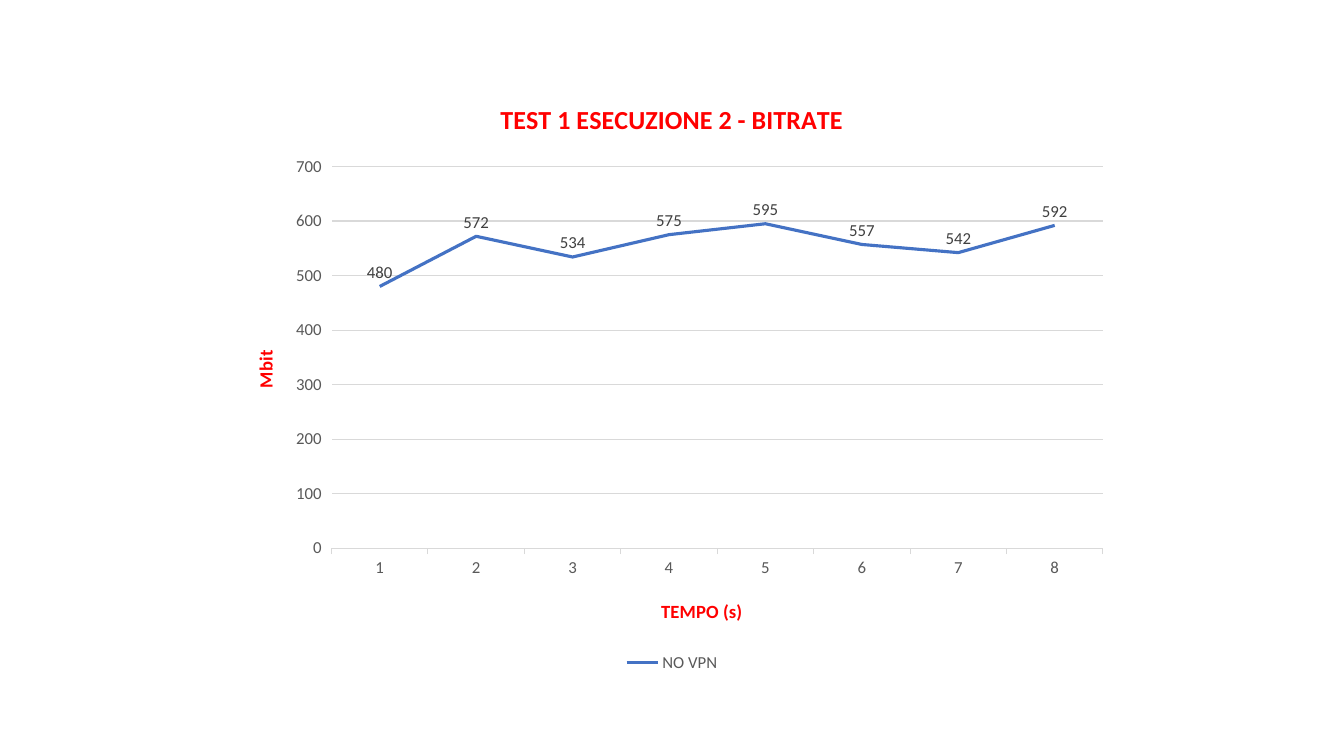
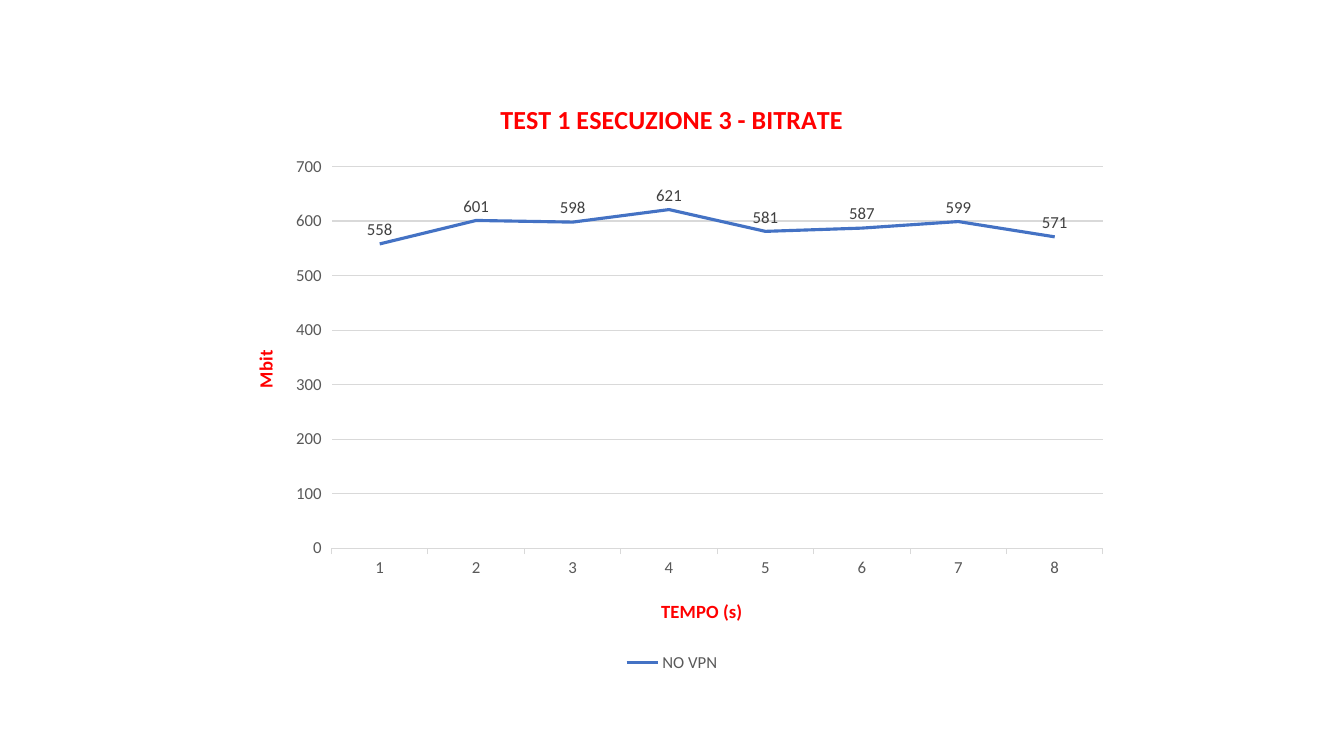
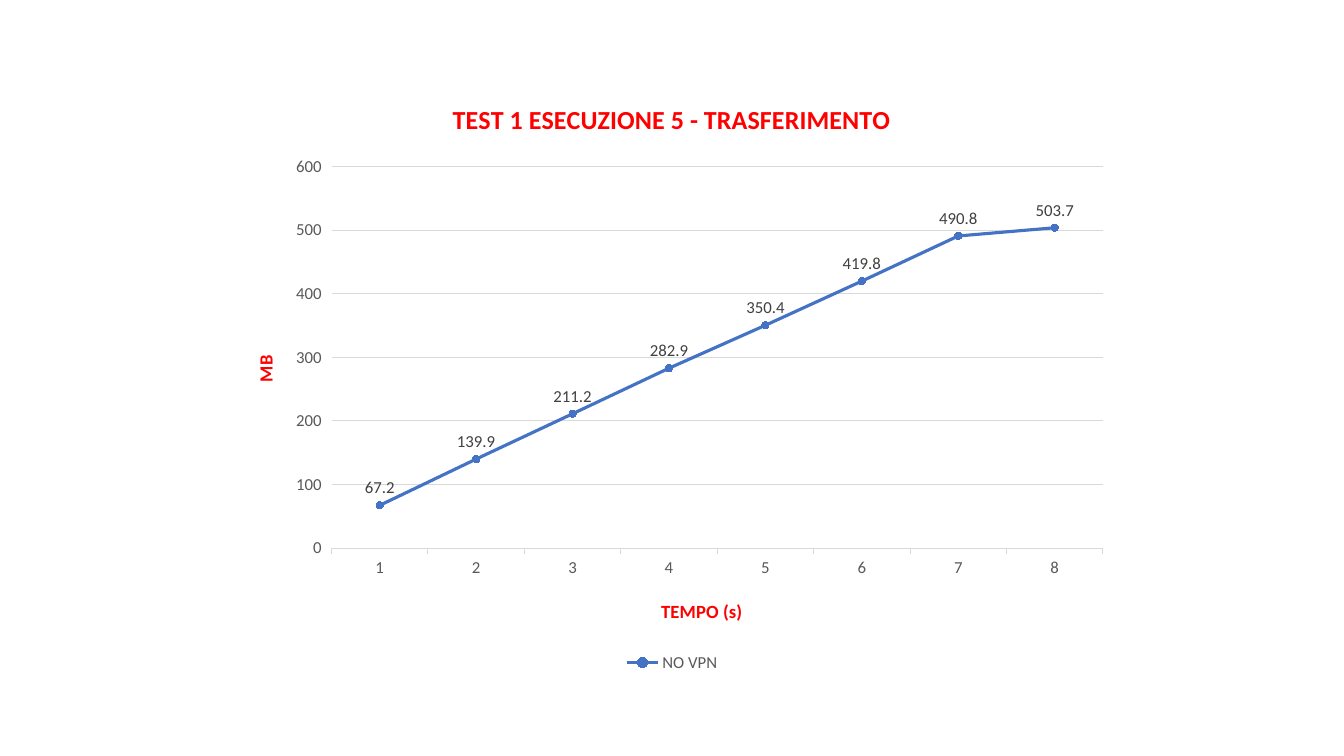
from dataclasses import dataclass

from lxml.etree import SubElement
from pptx import Presentation
from pptx.chart.data import CategoryChartData
from pptx.dml.color import RGBColor
from pptx.enum.chart import (XL_CHART_TYPE, XL_LABEL_POSITION, XL_LEGEND_POSITION,
                             XL_MARKER_STYLE, XL_TICK_MARK)
from pptx.oxml.ns import qn
from pptx.util import Inches, Pt

# Shared look
SLIDE_WIDTH, SLIDE_HEIGHT = Inches(13.33), Inches(7.5)
FONT = "Calibri"
RED, BLUE = "FF0000", "4472C4"
GRID_GREY, TEXT_GREY, LABEL_GREY = "D9D9D9", "595959", "404040"
TITLE_SIZE, AXIS_TITLE_SIZE, TEXT_SIZE = 18.6, 13.3, 12

# Chart frame: centred, two thirds of the slide wide
CHART_WIDTH, CHART_HEIGHT = int(SLIDE_WIDTH * 2 / 3), int(SLIDE_HEIGHT * 0.79)
CHART_LEFT = (SLIDE_WIDTH - CHART_WIDTH) // 2
CHART_TOP = (SLIDE_HEIGHT - CHART_HEIGHT) // 2

# Places inside the chart, as shares of its size
PLOT_AREA = {"x": 0.12, "y": 0.146, "w": 0.861, "h": 0.639}
TIME_TITLE_PLACE = {"x": 0.484, "y": 0.864}
VALUE_TITLE_LEFT = 0.028


@dataclass(frozen=True)
class Measurement:
    title: str
    unit: str
    unit_top: float
    values: tuple[float, ...]
    markers: bool = False


MEASUREMENTS = (
    Measurement("TEST 1 ESECUZIONE 2 - BITRATE", "Mbit", 0.448,
                (480, 572, 534, 575, 595, 557, 542, 592)),
    Measurement("TEST 1 ESECUZIONE 3 - BITRATE", "Mbit", 0.448,
                (558, 601, 598, 621, 581, 587, 599, 571)),
    Measurement("TEST 1 ESECUZIONE 5 - TRASFERIMENTO", "MB", 0.456,
                (67.2, 139.9, 211.2, 282.9, 350.4, 419.8, 490.8, 503.7), markers=True),
)


def color(value: str) -> RGBColor:
    return RGBColor.from_string(value)


def style_font(font, size: float, hex_color: str, bold: bool = False) -> None:
    font.name = FONT
    font.size = Pt(size)
    font.bold = bold
    font.color.rgb = color(hex_color)


def style_line(line, hex_color: str, width: float) -> None:
    line.color.rgb = color(hex_color)
    line.width = Pt(width)


def place(element, shares: dict[str, float], index: int) -> None:
    """Give a chart part a fixed place, in shares of the chart."""
    for old_layout in element.findall(qn("c:layout")):
        element.remove(old_layout)
    layout = SubElement(element, qn("c:layout"))
    element.insert(index, layout)
    manual = SubElement(layout, qn("c:manualLayout"))
    if "w" in shares:
        SubElement(manual, qn("c:layoutTarget")).set("val", "inner")
    for name in ("x", "y"):
        SubElement(manual, qn(f"c:{name}Mode")).set("val", "edge")
    for name, share in shares.items():
        SubElement(manual, qn(f"c:{name}")).set("val", str(share))


def add_title(owner, text: str, size: float):
    """Put a bold red title on a chart or an axis."""
    owner.has_title = True
    title = owner.chart_title if hasattr(owner, "chart_title") else owner.axis_title
    run = title.text_frame.paragraphs[0].add_run()
    run.text = text
    style_font(run.font, size, RED, bold=True)
    return title


def style_axes(chart, measurement: Measurement) -> None:
    time_axis, value_axis = chart.category_axis, chart.value_axis
    for axis, text, shares in (
        (time_axis, "TEMPO (s)", TIME_TITLE_PLACE),
        (value_axis, measurement.unit, {"x": VALUE_TITLE_LEFT, "y": measurement.unit_top}),
    ):
        axis.major_tick_mark = XL_TICK_MARK.OUTSIDE
        axis.minor_tick_mark = XL_TICK_MARK.NONE
        style_font(axis.tick_labels.font, TEXT_SIZE, TEXT_GREY)
        title = add_title(axis, text, AXIS_TITLE_SIZE)
        place(title._element, shares, 1)
    style_line(time_axis.format.line, GRID_GREY, 0.75)
    value_axis.format.line.fill.background()
    value_axis.minimum_scale = 0
    value_axis.has_major_gridlines = True
    style_line(value_axis.major_gridlines.format.line, GRID_GREY, 0.75)


def style_series(series, markers: bool) -> None:
    series.smooth = False
    style_line(series.format.line, BLUE, 2.25)
    marker = series.marker
    marker.style = XL_MARKER_STYLE.CIRCLE if markers else XL_MARKER_STYLE.NONE
    if markers:
        marker.size = 5
        marker.format.fill.solid()
        marker.format.fill.fore_color.rgb = color(BLUE)
        style_line(marker.format.line, BLUE, 0.75)
    labels = series.data_labels
    labels.show_value = True
    labels.position = XL_LABEL_POSITION.ABOVE
    style_font(labels.font, TEXT_SIZE, LABEL_GREY)


def add_measurement_slide(presentation, measurement: Measurement) -> None:
    slide = presentation.slides.add_slide(presentation.slide_layouts[6])
    data = CategoryChartData()
    data.categories = [str(second) for second in range(1, len(measurement.values) + 1)]
    data.add_series("NO VPN", measurement.values)
    kind = XL_CHART_TYPE.LINE_MARKERS if measurement.markers else XL_CHART_TYPE.LINE
    chart = slide.shapes.add_chart(
        kind, CHART_LEFT, CHART_TOP, CHART_WIDTH, CHART_HEIGHT, data).chart
    style_font(chart.font, 10, "000000")

    # Title, plot and axes
    add_title(chart, measurement.title, TITLE_SIZE)
    chart.chart_title.include_in_layout = False
    plot = chart.plots[0]
    plot.vary_by_categories = False
    place(chart._chartSpace.chart.plotArea, PLOT_AREA, 0)
    style_axes(chart, measurement)
    style_series(plot.series[0], measurement.markers)

    # Legend
    chart.has_legend = True
    chart.legend.position = XL_LEGEND_POSITION.BOTTOM
    chart.legend.include_in_layout = False
    style_font(chart.legend.font, TEXT_SIZE, TEXT_GREY)


def main() -> None:
    presentation = Presentation()
    presentation.slide_width, presentation.slide_height = SLIDE_WIDTH, SLIDE_HEIGHT
    for measurement in MEASUREMENTS:
        add_measurement_slide(presentation, measurement)
    presentation.save("out.pptx")


if __name__ == "__main__":
    main()
